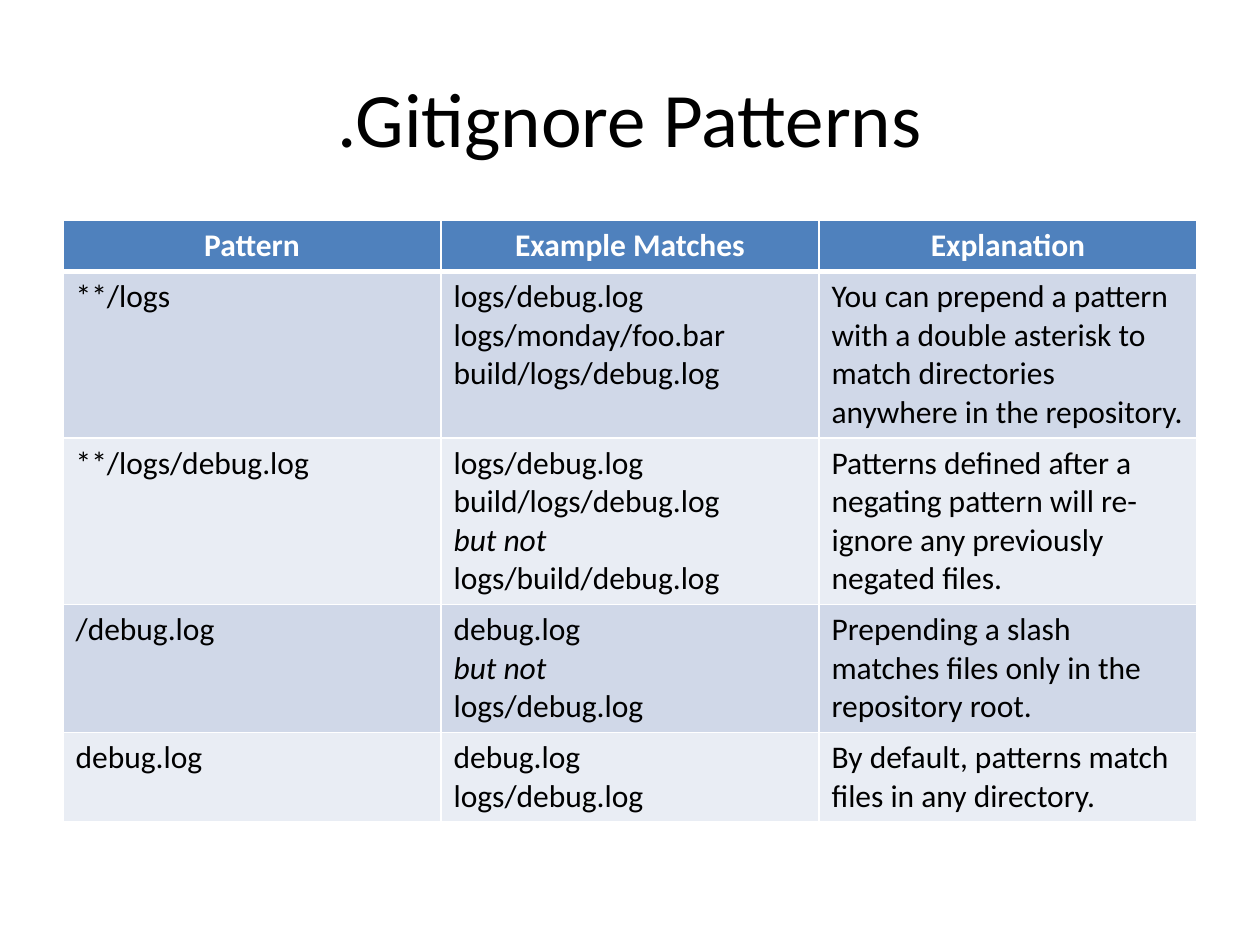
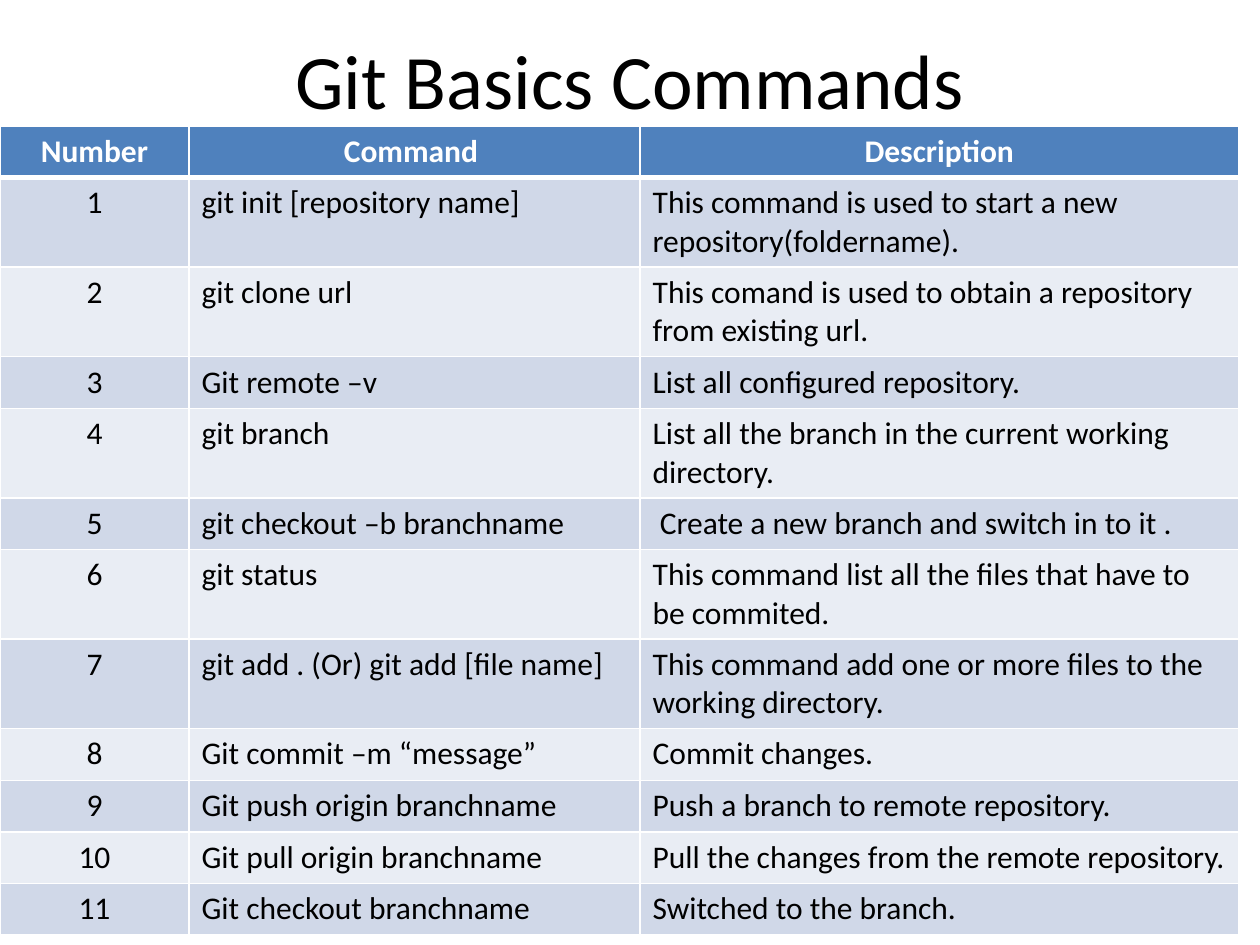
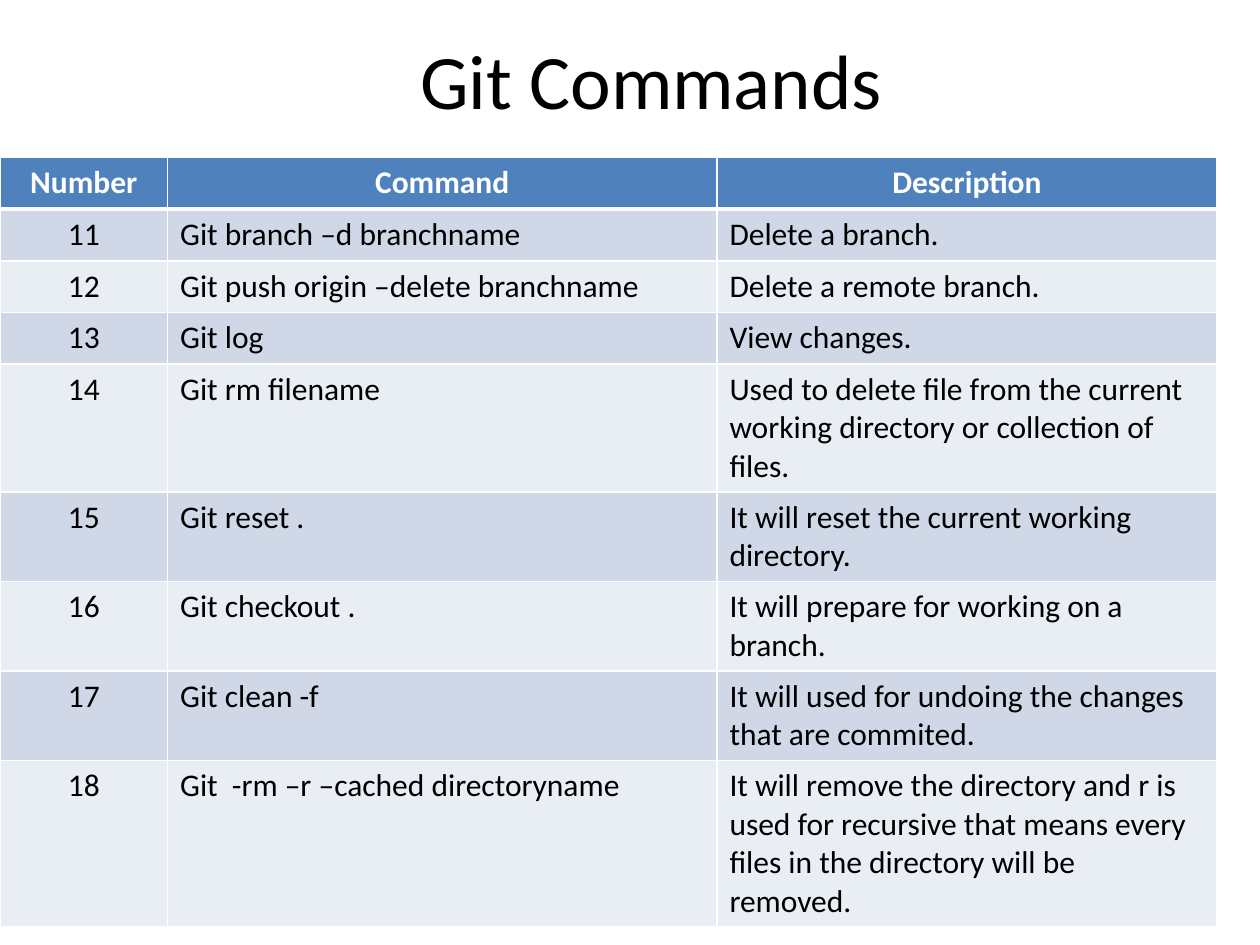
from pptx import Presentation, util as u
from pptx.dml.color import RGBColor
from pptx.enum import text
from pptx.oxml import parse_xml
from pptx.oxml.ns import nsdecls

HUES = {"head": "4F81BD", "odd": "D0D8E8", "even": "E9EDF4",
        "ink": "000000", "white": "FFFFFF"}
FACES = {
    "title": {"name": "Calibri", "size": u.Pt(44), "bold": False},
    "head": {"name": "Calibri", "size": u.Pt(18), "bold": True},
    "body": {"name": "Calibri", "size": u.Pt(18), "bold": False},
}
MID = text.PP_ALIGN.CENTER
LEFT = text.PP_ALIGN.LEFT

# Contents: title box, table place, column widths, row heights, centred columns
SLIDES = [
    {"title": ".Gitignore Patterns", "box": (0.5, 0.3, 9, 1.25),
     "top": (0.5, 1.75), "cols": [3, 3, 3],
     "highs": [0.36, 1.16, 1.16, 0.89, 0.62], "mids": [],
     "rows": [
         ("Pattern", "Example Matches", "Explanation"),
         ("**/logs",
          "logs/debug.log\nlogs/monday/foo.bar\nbuild/logs/debug.log",
          "You can prepend a pattern with a double asterisk to match "
          "directories anywhere in the repository."),
         ("**/logs/debug.log",
          "logs/debug.log\nbuild/logs/debug.log\nbut not\nlogs/build/debug.log",
          "Patterns defined after a negating pattern will re-ignore any "
          "previously negated files."),
         ("/debug.log", "debug.log\nbut not\nlogs/debug.log",
          "Prepending a slash matches files only in the repository root."),
         ("debug.log", "debug.log\nlogs/debug.log",
          "By default, patterns match files in any directory."),
     ]},
    {"title": "Git Basics Commands", "box": (0.5, 0, 9, 1.25),
     "top": (0, 1), "cols": [1.5, 3.58, 4.75],
     "highs": [0.41] * 12, "mids": [0],
     "rows": [
         ("Number", "Command ", "Description"),
         ("1", "git init [repository name]",
          "This command is used to start a new repository(foldername)."),
         ("2", "git clone url",
          "This comand is used to obtain a repository from existing url."),
         ("3", "Git remote –v", "List all configured repository."),
         ("4", "git branch",
          "List all the branch in the current working directory."),
         ("5", "git checkout –b branchname",
          " Create a new branch and switch in to it ."),
         ("6", "git status",
          "This command list all the files that have to be commited."),
         ("7", "git add . (Or) git add [file name]",
          "This command add one or more files to the working directory."),
         ("8", "Git commit –m “message”", "Commit changes."),
         ("9", "Git push origin branchname",
          "Push a branch to remote repository."),
         ("10", "Git pull origin branchname",
          "Pull the changes from the remote repository."),
         ("11", "Git checkout branchname", "Switched to the branch."),
     ]},
    {"title": "Git Commands", "box": (0.67, 0, 9, 1.25),
     "top": (0, 1.25), "cols": [1.33, 4.36, 3.97],
     "highs": [0.41] * 9, "mids": [0],
     "rows": [
         ("Number", "Command", "Description"),
         ("11", "Git branch –d branchname", "Delete a branch."),
         ("12", "Git push origin –delete branchname",
          "Delete a remote branch."),
         ("13", "Git log", "View changes."),
         ("14", "Git rm filename",
          "Used to delete file from the current working directory or "
          "collection of files."),
         ("15", "Git reset .", "It will reset the current working directory."),
         ("16", "Git checkout .", "It will prepare for working on a branch."),
         ("17", "Git clean -f",
          "It will used for undoing the changes that are commited."),
         ("18", "Git  -rm –r –cached directoryname",
          "It will remove the directory and r is used for recursive that "
          "means every files in the directory will be removed."),
     ]},
]


def write(para, words, face, hue, align):
    """Fill a paragraph, one run a line; the words "but not" are italic."""
    para.alignment = align
    for n, line in enumerate(words.split("\n")):
        if n:
            para.add_line_break()
        run = para.add_run()
        run.text = line
        for key, val in FACES[face].items():
            setattr(run.font, key, val)
        run.font.italic = line == "but not"
        run.font.color.rgb = RGBColor.from_string(HUES[hue])


def edge(cell, side, width):
    """Draw one white cell border."""
    cell._tc.get_or_add_tcPr().append(parse_xml(
        f'<a:ln{side} {nsdecls("a")} w="{u.Pt(width)}"><a:solidFill>'
        f'<a:srgbClr val="{HUES["white"]}"/></a:solidFill></a:ln{side}>'))


prs = Presentation()
prs.slide_width, prs.slide_height = u.Inches(10), u.Inches(7.5)

for page in SLIDES:
    slide = prs.slides.add_slide(prs.slide_layouts[5])

    # Title
    title = slide.shapes.title
    for key, val in zip(("left", "top", "width", "height"), page["box"]):
        setattr(title, key, u.Inches(val))
    title.text_frame.vertical_anchor = text.MSO_ANCHOR.MIDDLE
    write(title.text_frame.paragraphs[0], page["title"], "title", "ink", MID)

    # Table grid
    rows, cols, highs = page["rows"], page["cols"], page["highs"]
    left, top = page["top"]
    grid = slide.shapes.add_table(
        len(rows), len(cols), u.Inches(left), u.Inches(top),
        u.Inches(sum(cols)), u.Inches(sum(highs))).table
    for col, wide in zip(grid.columns, cols):
        col.width = u.Inches(wide)
    for row, high in zip(grid.rows, highs):
        row.height = u.Inches(high)

    # Cells: header row, then alternating bands
    for r, row in enumerate(rows):
        head = r == 0
        band = "head" if head else "odd" if r % 2 else "even"
        for c, words in enumerate(row):
            cell = grid.cell(r, c)
            for side in "LRTB":
                thick = (head and side == "B") or (r == 1 and side == "T")
                edge(cell, side, 3 if thick else 1)
            cell.fill.solid()
            cell.fill.fore_color.rgb = RGBColor.from_string(HUES[band])
            write(cell.text_frame.paragraphs[0], words,
                  "head" if head else "body", "white" if head else "ink",
                  MID if head or c in page["mids"] else LEFT)

prs.save("out.pptx")
